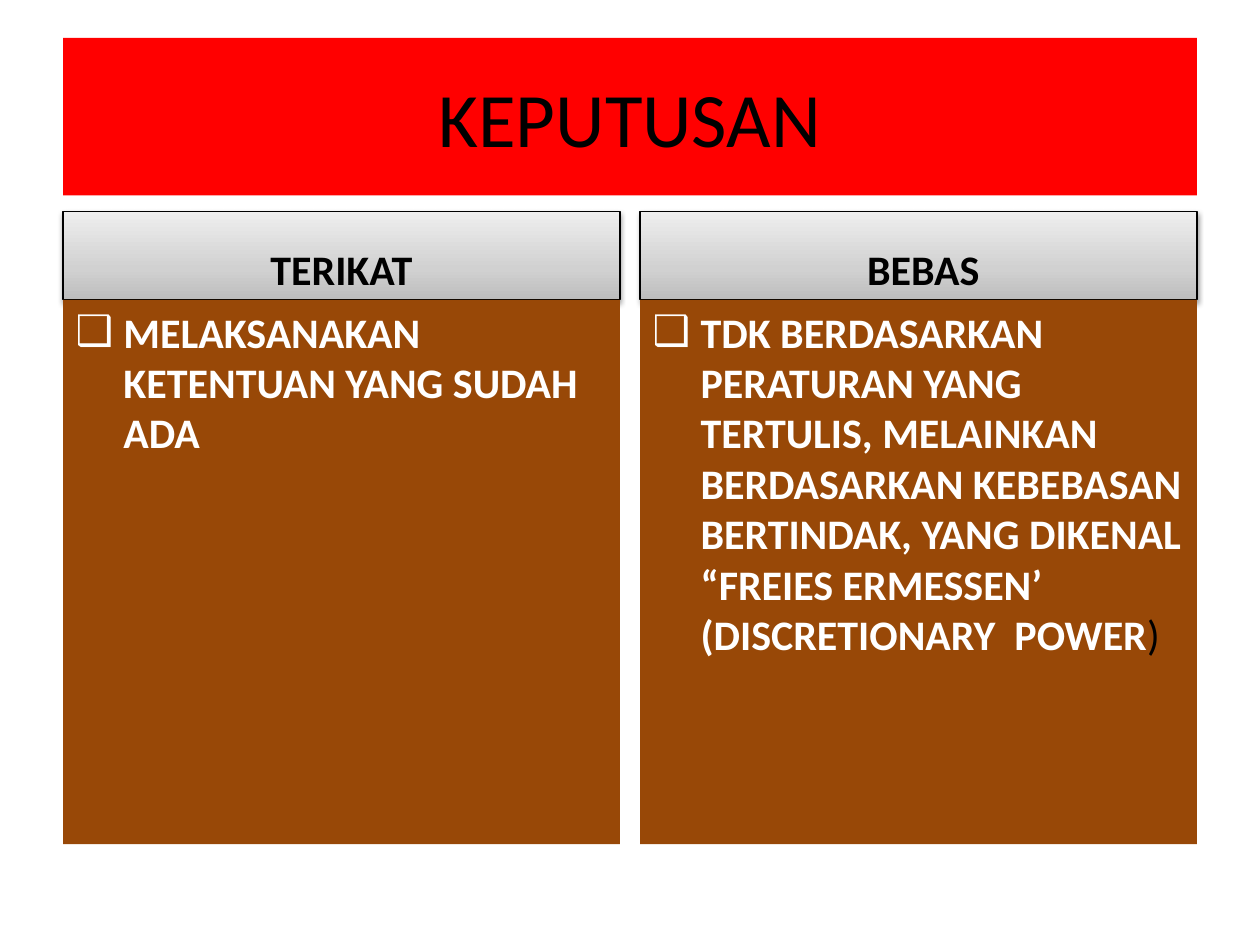
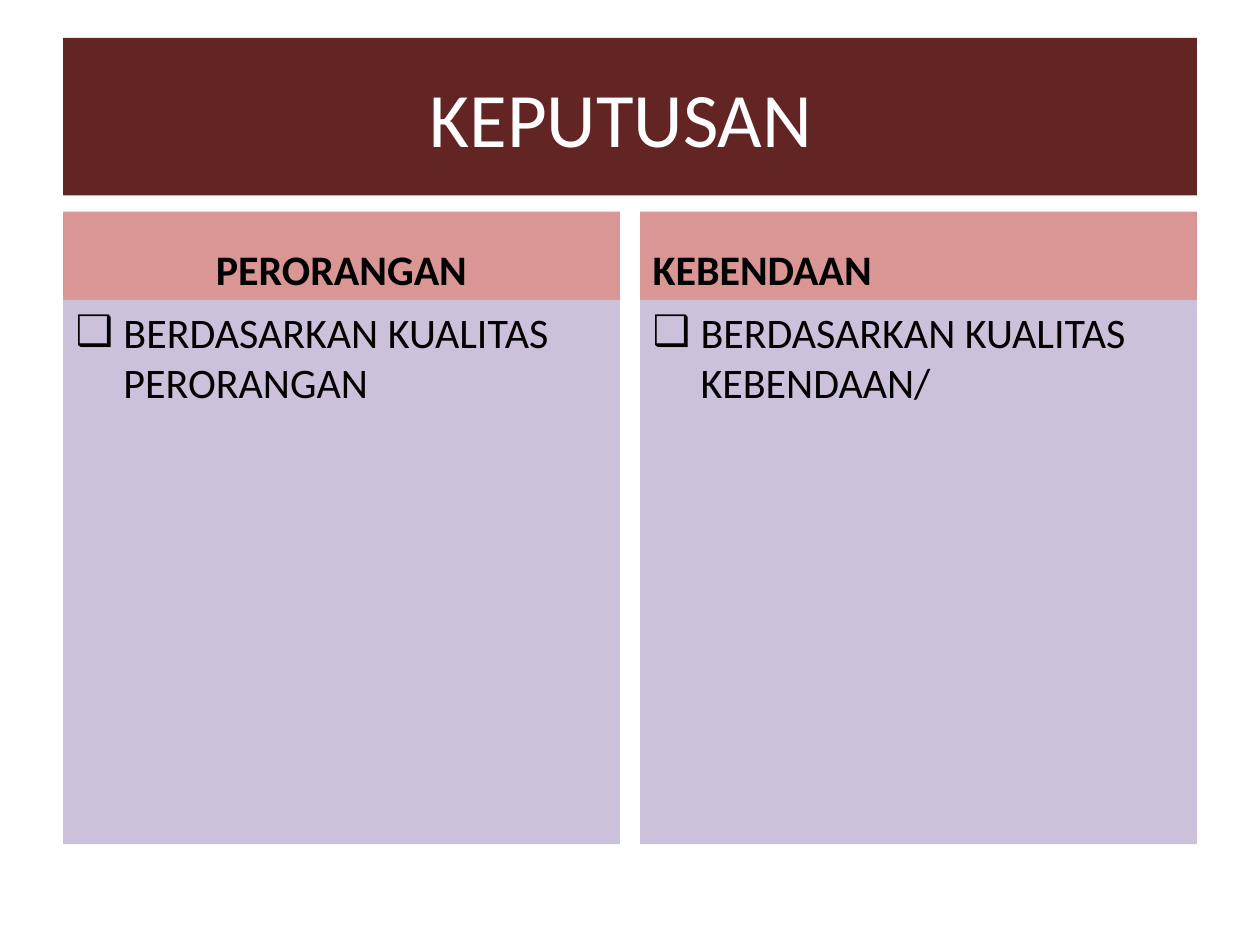
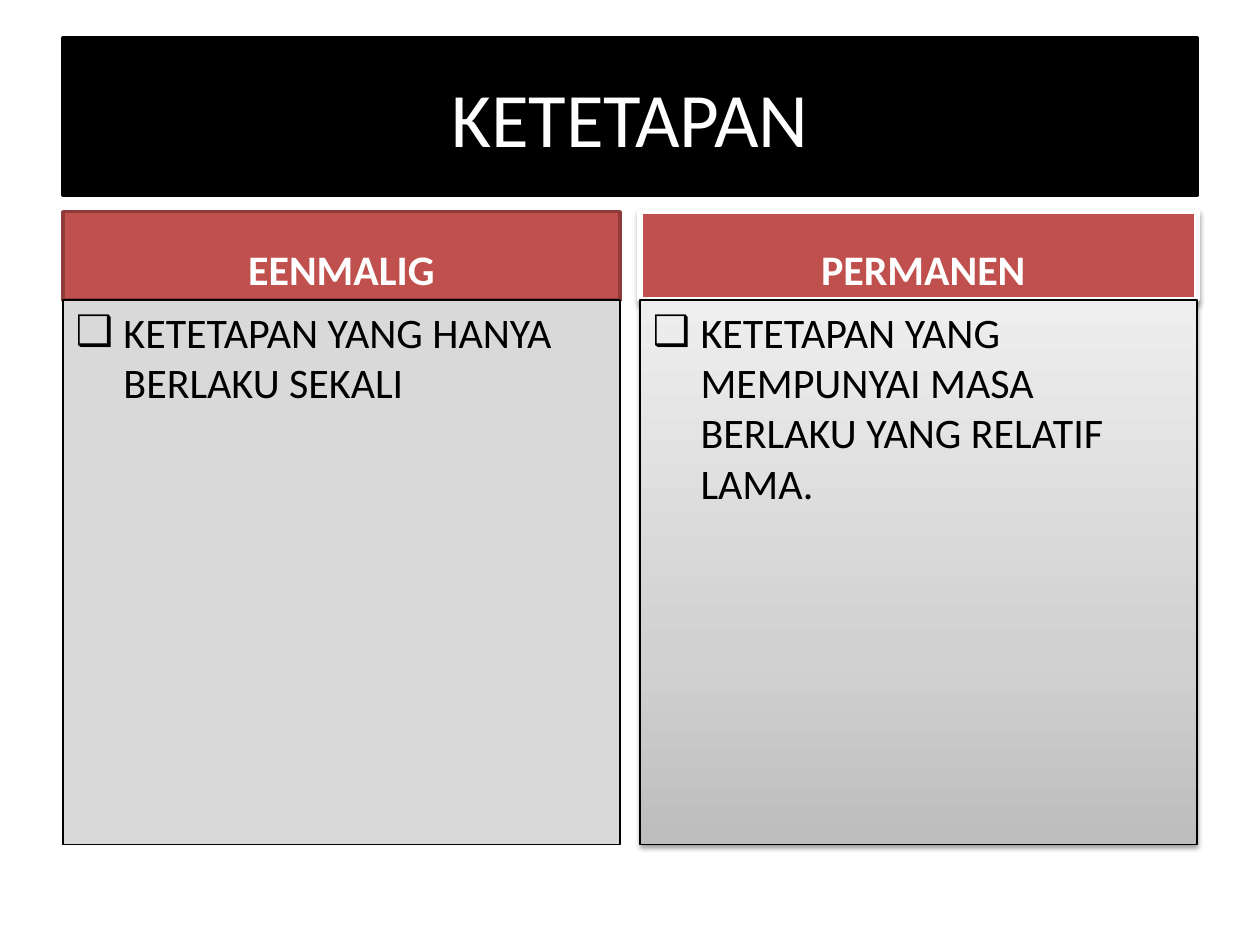
from lxml.etree import SubElement
from pptx import Presentation
from pptx.dml.color import RGBColor
from pptx.enum.text import MSO_ANCHOR as Anchor, MSO_AUTO_SIZE as AutoSize, PP_ALIGN as Align
from pptx.oxml.ns import qn
from pptx.util import Inches, Pt

# Colours
BLACK = RGBColor(0x00, 0x00, 0x00)
WHITE = RGBColor(0xFF, 0xFF, 0xFF)
RED = RGBColor(0xFF, 0x00, 0x00)
BROWN = RGBColor(0x98, 0x48, 0x07)
MAROON = RGBColor(0x63, 0x25, 0x23)
ROSE = RGBColor(0xD9, 0x96, 0x94)
LILAC = RGBColor(0xCC, 0xC1, 0xDA)
BRICK = RGBColor(0xC0, 0x50, 0x4D)
DARK_BRICK = RGBColor(0x8E, 0x3B, 0x39)
LIGHT_GREY = RGBColor(0xD9, 0xD9, 0xD9)
GREY_STOPS = (
    (0, RGBColor(0xBD, 0xBD, 0xBD)),
    (35, RGBColor(0xD1, 0xD1, 0xD1)),
    (100, RGBColor(0xEE, 0xEE, 0xEE)),
)

# Layout grid in inches
FONT = "Calibri"
COMPARISON_LAYOUT = 4
LEFT, WIDTH, GAP = 0.5, 9, 0.16
COLUMN_WIDTH = (WIDTH - GAP) / 2
TITLE_TOP, TITLE_HEIGHT = 0.3, 1.25
HEADING_TOP, HEADING_HEIGHT = 1.68, 0.7
LIST_TOP, LIST_HEIGHT = HEADING_TOP + HEADING_HEIGHT, 4.32
BULLET_INDENT = Inches(0.38)

# Box styles: a fill, with an optional (colour, points) line and a shadow
GREY_BOX = {"fill": GREY_STOPS, "line": (BLACK, 0.75), "shadow": True}
BROWN_BOX = {"fill": BROWN}
ROSE_BOX = {"fill": ROSE}
LILAC_BOX = {"fill": LILAC}

# Text styles
TITLE_FONT = {"name": FONT, "size": Pt(44), "bold": False}
HEADING_FONT = {"name": FONT, "size": Pt(24), "bold": True}
LIST_FONT = {"name": FONT, "size": Pt(24), "bold": False}


def place(shape, left, top, width, height):
    shape.left, shape.top = Inches(left), Inches(top)
    shape.width, shape.height = Inches(width), Inches(height)


def add_color(parent, color):
    return SubElement(parent, qn("a:srgbClr"), val=str(color))


def add_gradient(shape, stops):
    gradient = SubElement(shape.element.spPr, qn("a:gradFill"), rotWithShape="1")
    stop_list = SubElement(gradient, qn("a:gsLst"))
    for percent, color in stops:
        add_color(SubElement(stop_list, qn("a:gs"), pos=str(percent * 1000)), color)
    SubElement(gradient, qn("a:lin"), ang=str(270 * 60000), scaled="1")


def add_shadow(shape):
    effects = SubElement(shape.element.spPr, qn("a:effectLst"))
    shadow = SubElement(
        effects, qn("a:outerShdw"), blurRad=str(Pt(3.1)), dist=str(Pt(1.6)),
        dir=str(90 * 60000), rotWithShape="0")
    SubElement(add_color(shadow, BLACK), qn("a:alpha"), val="38000")


def style_box(shape, fill, line=None, shadow=False):
    if isinstance(fill, RGBColor):
        shape.fill.solid()
        shape.fill.fore_color.rgb = fill
    else:
        add_gradient(shape, fill)
    if line:
        color, points = line
        shape.line.color.rgb = color
        shape.line.width = Pt(points)
    if shadow:
        add_shadow(shape)


def write(shape, runs, font, anchor, align):
    """Write one paragraph; runs are (text, format values) pairs."""
    frame = shape.text_frame
    frame.auto_size = AutoSize.NONE
    frame.vertical_anchor = anchor
    paragraph = frame.paragraphs[0]
    paragraph.alignment = align
    for text, changes in runs:
        run = paragraph.add_run()
        run.text = text
        values = {**font, **changes}
        run.font.color.rgb = values.pop("color")
        for name, value in values.items():
            setattr(run.font, name, value)
    return paragraph


def add_title(slide, text, color, box):
    title = slide.shapes.title
    place(title, LEFT, TITLE_TOP, WIDTH, TITLE_HEIGHT)
    style_box(title, **box)
    write(title, [(text, {"color": color})], TITLE_FONT, Anchor.MIDDLE, Align.CENTER)


def add_heading(shape, left, text, box, color=BLACK, align=Align.CENTER):
    place(shape, left, HEADING_TOP, COLUMN_WIDTH, HEADING_HEIGHT)
    style_box(shape, **box)
    write(shape, [(text, {"color": color})], HEADING_FONT, Anchor.BOTTOM, align)


def add_list(shape, left, runs, box):
    place(shape, left, LIST_TOP, COLUMN_WIDTH, LIST_HEIGHT)
    style_box(shape, **box)
    paragraph = write(shape, runs, LIST_FONT, Anchor.TOP, Align.LEFT)
    properties = paragraph._p.get_or_add_pPr()
    properties.set("marL", str(BULLET_INDENT))
    properties.set("indent", str(-BULLET_INDENT))
    SubElement(properties, qn("a:buChar"), char="❑")


def add_comparison(presentation, title, columns):
    """Add a slide with a title band and two columns of heading and list."""
    slide = presentation.slides.add_slide(presentation.slide_layouts[COMPARISON_LAYOUT])
    add_title(slide, **title)
    for number, (heading, bullet) in enumerate(columns):
        left = LEFT + number * (COLUMN_WIDTH + GAP)
        add_heading(slide.placeholders[2 * number + 1], left, **heading)
        add_list(slide.placeholders[2 * number + 2], left, **bullet)


def main():
    presentation = Presentation()
    presentation.slide_width, presentation.slide_height = Inches(10), Inches(7.5)
    plain = {"color": BLACK}
    strong = {"color": WHITE, "bold": True}

    # Bound and free decisions
    add_comparison(
        presentation,
        {"text": "KEPUTUSAN", "color": BLACK, "box": {"fill": RED}},
        [
            ({"text": "TERIKAT", "box": GREY_BOX},
             {"runs": [("MELAKSANAKAN KETENTUAN YANG SUDAH ADA", strong)],
              "box": BROWN_BOX}),
            ({"text": " BEBAS", "box": GREY_BOX},
             {"runs": [("TDK BERDASARKAN PERATURAN YANG TERTULIS, MELAINKAN "
                        "BERDASARKAN KEBEBASAN BERTINDAK, YANG DIKENAL "
                        "“FREIES ERMESSEN’ (DISCRETIONARY  POWER", strong),
                       (")", plain)],
              "box": BROWN_BOX}),
        ])

    # Personal and material decisions
    add_comparison(
        presentation,
        {"text": "KEPUTUSAN ", "color": WHITE, "box": {"fill": MAROON}},
        [
            ({"text": "PERORANGAN", "box": ROSE_BOX},
             {"runs": [("BERDASARKAN KUALITAS PERORANGAN", plain)], "box": LILAC_BOX}),
            ({"text": "KEBENDAAN", "box": ROSE_BOX, "align": Align.LEFT},
             {"runs": [("BERDASARKAN KUALITAS KEBENDAAN/", plain)], "box": LILAC_BOX}),
        ])

    # Single-use and permanent rulings
    add_comparison(
        presentation,
        {"text": "KETETAPAN", "color": WHITE,
         "box": {"fill": BLACK, "line": (BLACK, 2)}},
        [
            ({"text": "EENMALIG", "color": WHITE,
              "box": {"fill": BRICK, "line": (DARK_BRICK, 2)}},
             {"runs": [("KETETAPAN YANG HANYA BERLAKU SEKALI", plain)],
              "box": {"fill": LIGHT_GREY, "line": (BLACK, 0.75)}}),
            ({"text": " PERMANEN", "color": WHITE,
              "box": {"fill": BRICK, "line": (WHITE, 3), "shadow": True}},
             {"runs": [("KETETAPAN YANG MEMPUNYAI MASA BERLAKU YANG RELATIF LAMA.", plain)],
              "box": GREY_BOX}),
        ])

    presentation.save("out.pptx")


if __name__ == "__main__":
    main()
